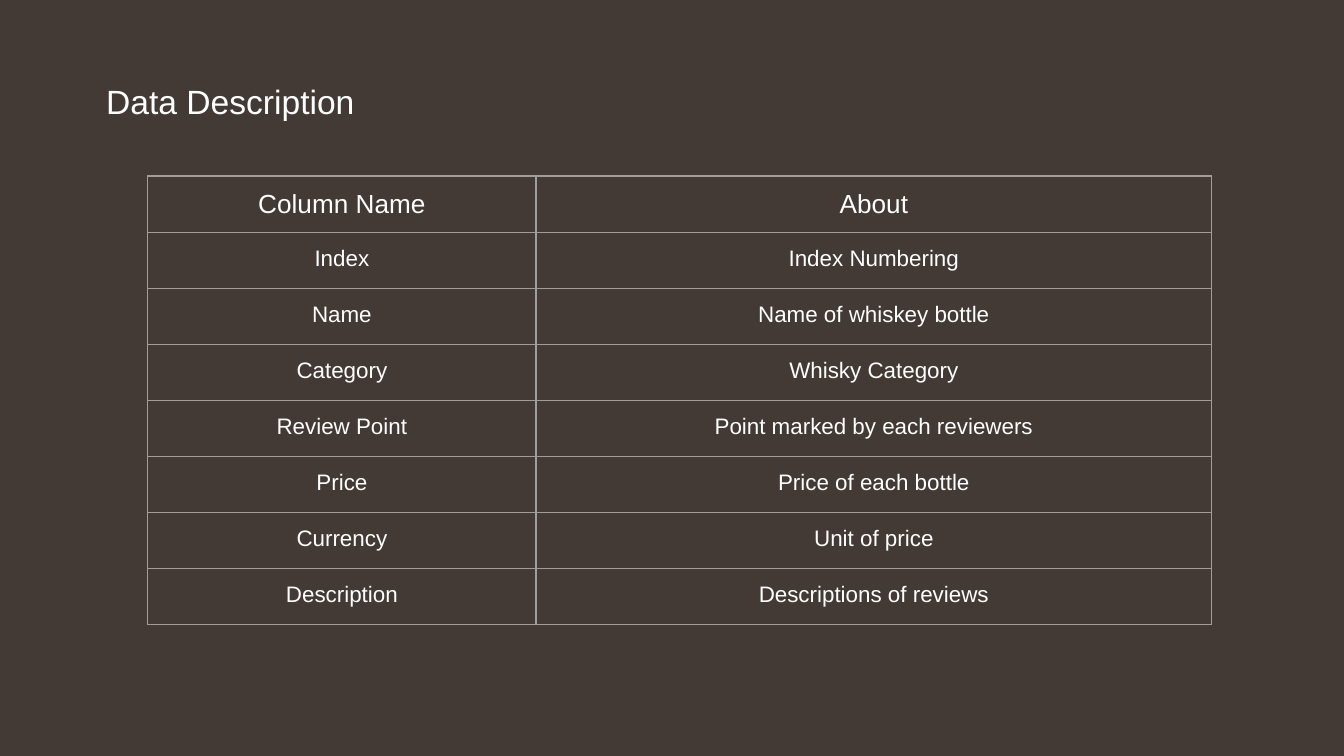
from lxml.etree import SubElement
from pptx import Presentation
from pptx.dml.color import RGBColor
from pptx.enum.text import MSO_ANCHOR, MSO_AUTO_SIZE, PP_ALIGN
from pptx.oxml.ns import qn
from pptx.util import Pt

COLORS = {"back": "433A35", "text": "FFFFFF", "line": "9E9E9E"}
FONT = "Arial"
PAD = Pt(7.2)
ROWS = [
    ("Column Name", "About"),
    ("Index", "Index Numbering"),
    ("Name", "Name of whiskey bottle"),
    ("Category", "Whisky Category"),
    ("Review Point", "Point marked by each reviewers"),
    ("Price", "Price of each bottle"),
    ("Currency", "Unit of price"),
    ("Description", "Descriptions of reviews"),
]


def color(name):
    """Return the named color."""
    return RGBColor.from_string(COLORS[name])


def style(para, size, align):
    """Set font and alignment of a paragraph."""
    para.alignment = align
    para.font.name = FONT
    para.font.size = Pt(size)
    para.font.color.rgb = color("text")


def border(cell):
    """Draw thin lines on all four sides of a cell."""
    props = cell._tc.get_or_add_tcPr()
    for index, side in enumerate(("a:lnL", "a:lnR", "a:lnT", "a:lnB")):
        line = props.makeelement(qn(side), {"w": str(Pt(0.75))})
        fill = SubElement(line, qn("a:solidFill"))
        SubElement(fill, qn("a:srgbClr"), val=COLORS["line"])
        props.insert(index, line)


def add_title(slide, text, left, top, width, height):
    """Place the slide title in the given box."""
    title = slide.shapes.title
    title.left, title.top = Pt(left), Pt(top)
    title.width, title.height = Pt(width), Pt(height)
    frame = title.text_frame
    frame.text = text
    frame.word_wrap = True
    frame.auto_size = MSO_AUTO_SIZE.NONE
    frame.vertical_anchor = MSO_ANCHOR.TOP
    frame.margin_left = frame.margin_right = frame.margin_bottom = PAD
    frame.margin_top = Pt(9.4)
    style(frame.paragraphs[0], 18, PP_ALIGN.LEFT)


def add_grid(slide, rows, left, top, width, height):
    """Place the table of columns in the given box."""
    shape = slide.shapes.add_table(
        len(rows), 2, Pt(left), Pt(top), Pt(width), Pt(height))
    table = shape.table
    table.first_row = table.horz_banding = False
    first = 208
    table.columns[0].width = Pt(first)
    table.columns[1].width = Pt(width - first)
    for row, texts in enumerate(rows):
        for col, text in enumerate(texts):
            cell = table.cell(row, col)
            cell.text = text
            cell.fill.background()
            cell.margin_left = cell.margin_right = PAD
            cell.margin_top = cell.margin_bottom = PAD
            style(cell.text_frame.paragraphs[0],
                  12 if row else 14, PP_ALIGN.CENTER)
            border(cell)


def main():
    """Build and save the slide."""
    deck = Presentation()
    deck.slide_width, deck.slide_height = Pt(720), Pt(405)
    slide = deck.slides.add_slide(deck.slide_layouts[5])
    fill = slide.background.fill
    fill.solid()
    fill.fore_color.rgb = color("back")
    add_title(slide, "Data Description", 49.7, 33.8, 183.6, 28.8)
    add_grid(slide, ROWS, 79.2, 94.3, 570, 240)
    deck.save("out.pptx")


if __name__ == "__main__":
    main()
